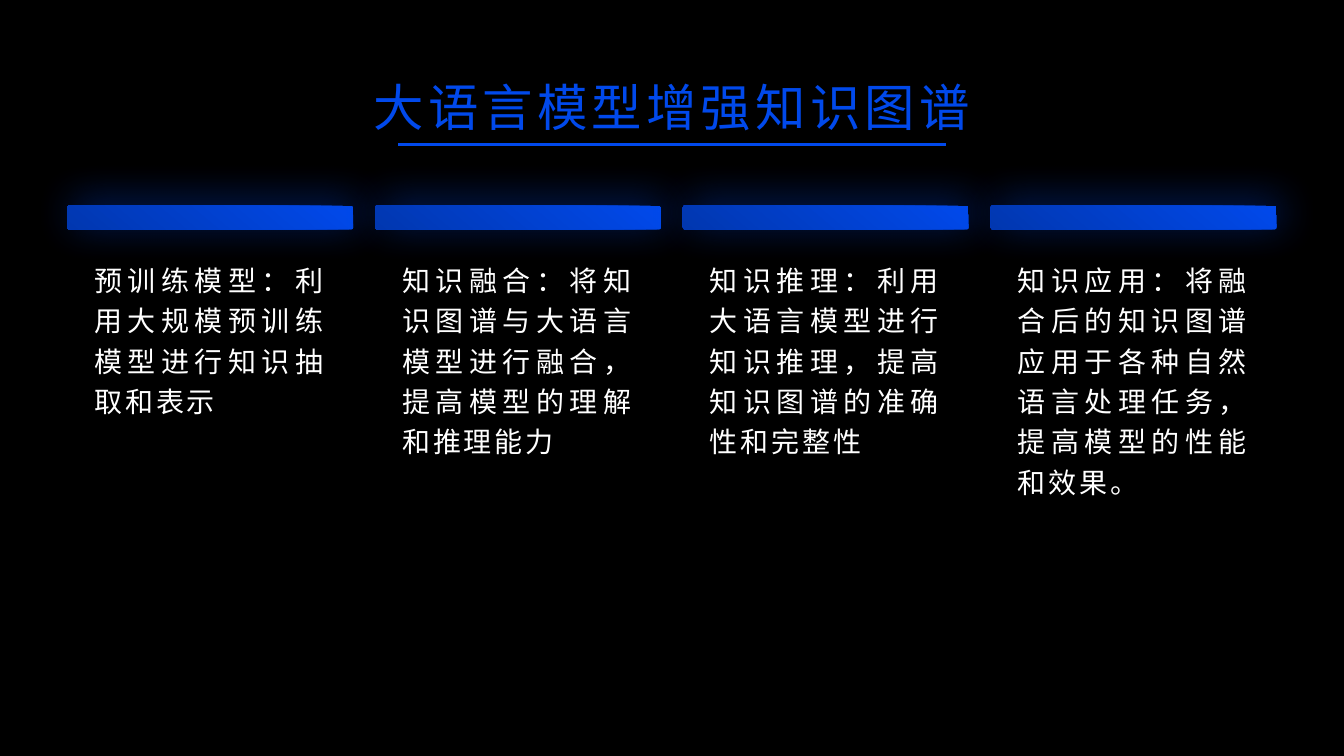
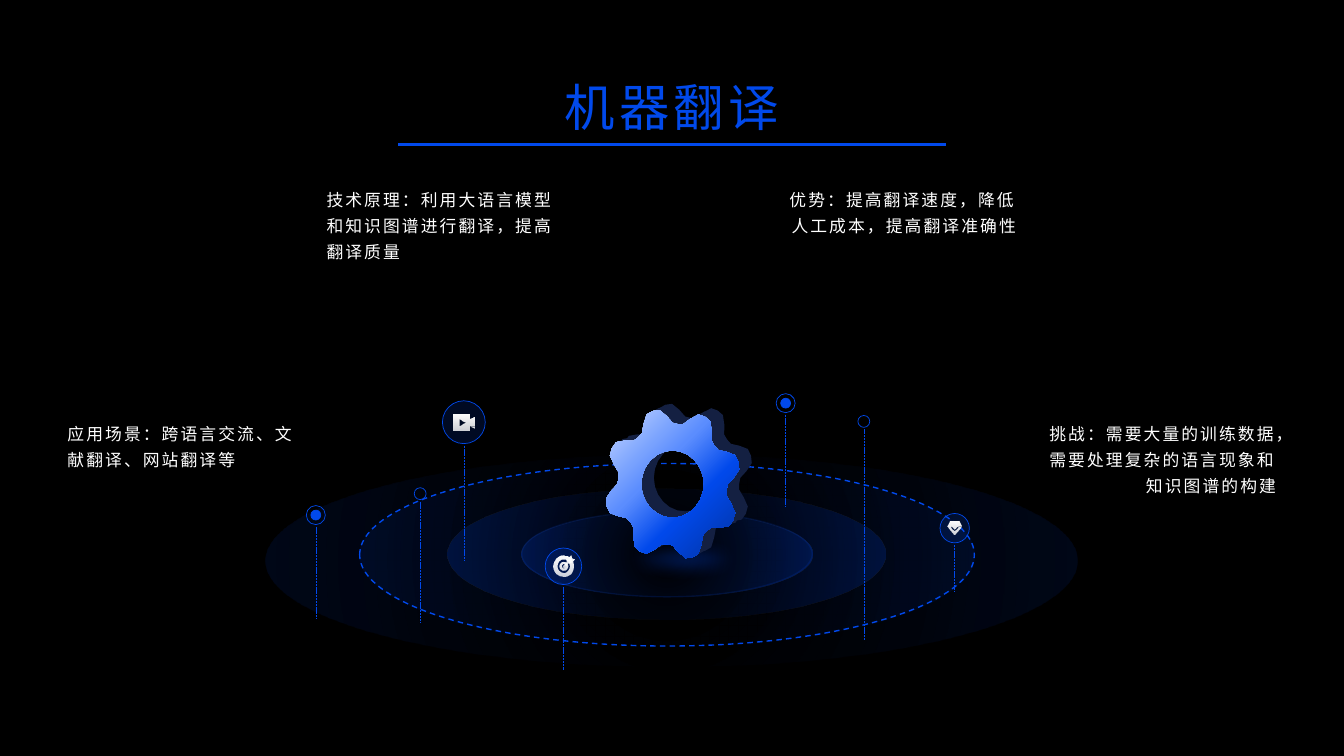
from math import cos, pi, sin, tanh

from lxml.etree import SubElement
from pptx import Presentation
from pptx.dml.color import RGBColor
from pptx.enum.dml import MSO_LINE
from pptx.enum.shapes import MSO_CONNECTOR, MSO_SHAPE
from pptx.enum.text import MSO_ANCHOR, PP_ALIGN
from pptx.oxml import parse_xml
from pptx.oxml.ns import nsdecls, qn
from pptx.util import Cm, Pt

BLACK = RGBColor(0x00, 0x00, 0x00)
WHITE = RGBColor(0xFF, 0xFF, 0xFF)
BLUE = RGBColor(0x01, 0x49, 0xEB)
DEEP_BLUE = RGBColor(0x01, 0x37, 0xB0)
SKY_BLUE = RGBColor(0x5B, 0x8D, 0xFE)
PALE_BLUE = RGBColor(0xC8, 0xD9, 0xFF)
GEAR_SIDE = RGBColor(0x14, 0x20, 0x42)
FONT = "Roboto"

SLIDE_WIDTH, SLIDE_HEIGHT = 33.87, 19.05
MARGIN = 1.7
CONTENT_WIDTH = SLIDE_WIDTH - 2 * MARGIN

COLUMNS = (
    "预训练模型：利用大规模预训练模型进行知识抽取和表示",
    "知识融合：将知识图谱与大语言模型进行融合，提高模型的理解和推理能力",
    "知识推理：利用大语言模型进行知识推理，提高知识图谱的准确性和完整性",
    "知识应用：将融合后的知识图谱应用于各种自然语言处理任务，提高模型的性能和效果。",
)
COLUMN_WIDTH = 7.2

# left, top, alignment, text
NOTES = (
    (1.7, 10.52, PP_ALIGN.LEFT, "应用场景：跨语言交流、文献翻译、网站翻译等"),
    (26.16, 10.52, PP_ALIGN.RIGHT,
     "挑战：需要大量的训练数据，需要处理复杂的语言现象和知识图谱的构建"),
    (19.61, 4.62, PP_ALIGN.RIGHT,
     "优势：提高翻译速度，降低人工成本，提高翻译准确性"),
    (8.23, 4.62, PP_ALIGN.LEFT,
     "技术原理：利用大语言模型和知识图谱进行翻译，提高翻译质量"),
)

# centre x, centre y, width, height, clear centre %, edge opacity %
DISCS = (
    (16.93, 14.12, 20.45, 5.33, 25, 10),
    (16.81, 13.98, 15.49, 4.6, 25, 10),
    (16.8, 13.96, 11.05, 3.28, 0, 20),
    (16.81, 13.96, 7.32, 2.16, 0, 20),
)

# x, head centre y, head diameter, foot y, kind of head
PINS = (
    (7.96, 12.98, 0.48, 15.6, "dot"),
    (10.59, 12.44, 0.3, 15.7, "ring"),
    (11.69, 10.64, 1.08, 14.12, "video"),
    (14.2, 14.27, 0.92, 16.87, "target"),
    (19.8, 10.16, 0.48, 12.78, "dot"),
    (21.77, 10.62, 0.3, 16.13, "ring"),
    (24.06, 13.31, 0.74, 14.91, "diamond"),
)


def ring_points(count, radius_at, x_scale=1.0):
    """Evenly spaced points around the origin; radius_at maps angle to radius."""
    angles = [step * 2 * pi / count for step in range(count)]
    return [(x_scale * radius_at(a) * sin(a), -radius_at(a) * cos(a)) for a in angles]


def circle(radius):
    return ring_points(16, lambda angle: radius)


# Each icon is a list of parts, each part a list of contours around the head centre
ICONS = {
    "video": [[
        [(-0.26, -0.2), (0.13, -0.2), (0.13, -0.09), (0.26, -0.14),
         (0.26, 0.14), (0.13, 0.09), (0.13, 0.2), (-0.26, 0.2)],
        [(-0.12, -0.09), (-0.12, 0.09), (0.03, 0)],
    ]],
    "target": [
        [circle(0.26), circle(0.16), circle(0.11), circle(0.05)],
        [[(-0.02, 0), (0.08, -0.12), (0.08, -0.17), (0.18, -0.27), (0.2, -0.2),
          (0.27, -0.18), (0.17, -0.08), (0.12, -0.08), (0.02, 0.03)]],
    ],
    "diamond": [[
        [(-0.11, -0.17), (0.11, -0.17), (0.18, -0.04), (0, 0.17), (-0.18, -0.04)],
        [(-0.09, -0.05), (-0.09, -0.01), (0, 0.07), (0.09, -0.01),
         (0.09, -0.05), (0, 0.03)],
    ]],
}


def set_opacity(element, percent):
    for color in element.iter(qn("a:srgbClr")):
        SubElement(color, qn("a:alpha")).set("val", str(percent * 1000))


def fill_gradient(shape, stops, angle=None):
    """Stops are (position %, colour, opacity %); no angle means radial."""
    stop_xml = "".join(
        f'<a:gs pos="{position * 1000}"><a:srgbClr val="{color}">'
        f'<a:alpha val="{opacity * 1000}"/></a:srgbClr></a:gs>'
        for position, color, opacity in stops)
    if angle is None:
        course = ('<a:path path="circle"><a:fillToRect l="50000" t="50000" '
                  'r="50000" b="50000"/></a:path>')
    else:
        course = f'<a:lin ang="{angle * 60000}" scaled="0"/>'
    gradient = parse_xml(f'<a:gradFill {nsdecls("a")} rotWithShape="1">'
                         f"<a:gsLst>{stop_xml}</a:gsLst>{course}</a:gradFill>")
    shape.fill.background()
    properties = shape.element.spPr
    properties.replace(properties.find(qn("a:noFill")), gradient)


def add_effect(shape, tag, **settings):
    effects = shape.element.spPr.find(qn("a:effectLst"))
    effect = SubElement(effects, qn(tag))
    for key, value in settings.items():
        effect.set(key, str(value))
    return effect


def add_glow(shape, blur, distance, direction, opacity):
    glow = add_effect(shape, "a:outerShdw", blurRad=int(Pt(blur)),
                      dist=int(Pt(distance)), dir=direction * 60000,
                      algn="ctr", rotWithShape=0)
    SubElement(glow, qn("a:srgbClr")).set("val", str(BLUE))
    set_opacity(glow, opacity)


def format_text(frame, text, size, color, spacing, align, line_spacing=None):
    frame.word_wrap = True
    paragraph = frame.paragraphs[0]
    paragraph.text = text
    paragraph.alignment = align
    if line_spacing:
        paragraph.line_spacing = line_spacing
    for run in paragraph.runs:
        run.font.size = Pt(size)
        run.font.name = FONT
        run.font.color.rgb = color
        run._r.get_or_add_rPr().set("spc", str(int(spacing * 100)))


def add_line(slide, start, end, width, dash=None):
    line = slide.shapes.add_connector(
        MSO_CONNECTOR.STRAIGHT, *(Cm(value) for value in (*start, *end)))
    line.line.color.rgb = BLUE
    line.line.width = Pt(width)
    if dash:
        line.line.dash_style = dash
    SubElement(line.element.spPr, qn("a:effectLst"))


def add_ellipse(slide, x, y, width, height, line_width=None):
    """Unfilled ellipse centred on x, y."""
    ellipse = slide.shapes.add_shape(
        MSO_SHAPE.OVAL, Cm(x - width / 2), Cm(y - height / 2), Cm(width), Cm(height))
    ellipse.shadow.inherit = False
    ellipse.fill.background()
    if line_width:
        ellipse.line.color.rgb = BLUE
        ellipse.line.width = Pt(line_width)
    else:
        ellipse.line.fill.background()
    return ellipse


def add_outline(slide, x, y, contours):
    """Freeform of closed contours around x, y; inner contours become holes."""
    placed = [[(Cm(x + dx), Cm(y + dy)) for dx, dy in contour] for contour in contours]
    builder = slide.shapes.build_freeform(*placed[0][0])
    for index, contour in enumerate(placed):
        if index:
            builder.move_to(*contour[0])
        builder.add_line_segments(contour[1:], close=True)
    outline = builder.convert_to_shape()
    outline.shadow.inherit = False
    outline.line.fill.background()
    return outline


def set_up_template(deck):
    """Black background and title position for all slides; returns the layout."""
    deck.slide_width, deck.slide_height = Cm(SLIDE_WIDTH), Cm(SLIDE_HEIGHT)
    background = deck.slide_master.background.fill
    background.solid()
    background.fore_color.rgb = BLACK
    layout = deck.slide_layouts[5]
    title = layout.placeholders[0]
    title.left, title.top = Cm(MARGIN), Cm(MARGIN)
    title.width, title.height = Cm(CONTENT_WIDTH), Cm(1.95)
    title.text_frame.vertical_anchor = MSO_ANCHOR.MIDDLE
    return layout


def add_titled_slide(deck, layout, title):
    slide = deck.slides.add_slide(layout)
    add_line(slide, (10.03, 3.65), (23.83, 3.65), 2)
    format_text(slide.shapes.title.text_frame, title, 36, BLUE, 3, PP_ALIGN.CENTER)
    return slide


def add_column(slide, left, text):
    band = slide.shapes.add_shape(
        MSO_SHAPE.ROUNDED_RECTANGLE, Cm(left), Cm(5.18), Cm(COLUMN_WIDTH), Cm(0.6))
    band.adjustments[0] = 0.08
    band.shadow.inherit = False
    band.line.fill.background()
    fill_gradient(band, [(0, BLUE, 100), (100, DEEP_BLUE, 100)], 130)
    add_glow(band, 30, 5, 315, 45)
    body = slide.shapes.add_textbox(
        Cm(left + 0.43), Cm(6.35), Cm(COLUMN_WIDTH - 0.86), Cm(9.46))
    format_text(body.text_frame, text, 20, WHITE, 2, PP_ALIGN.JUSTIFY, 1.2)


def add_note(slide, left, top, align, text):
    frame = slide.shapes.add_textbox(Cm(left), Cm(top), Cm(6), Cm(2.24)).text_frame
    frame.margin_left = frame.margin_right = frame.margin_top = frame.margin_bottom = 0
    format_text(frame, text, 12, WHITE, 1.5, align, 1.3)


def add_platform(slide):
    outer, dashed, middle, inner = (
        add_ellipse(slide, x, y, width, height) for x, y, width, height, _, _ in DISCS)
    for disc, (*_, clear, opacity) in zip((outer, dashed, middle, inner), DISCS):
        fill_gradient(disc, [(clear, BLUE, 0), (100, BLUE, opacity)])
    for disc in (dashed, inner):
        disc.line.color.rgb = BLUE
        disc.line.width = Pt(1)
    dashed.line.dash_style = MSO_LINE.DASH
    set_opacity(inner.element.spPr.find(qn("a:ln")), 15)

    light = add_ellipse(slide, 17.2, 14.08, 4.22, 1.24)
    light.fill.solid()
    light.fill.fore_color.rgb = BLUE
    set_opacity(light.element.spPr, 40)
    add_effect(light, "a:softEdge", rad=int(Pt(12)))


def add_pin(slide, x, y, diameter, foot, kind):
    add_line(slide, (x, y + diameter / 2 + 0.05), (x, foot), 0.5, MSO_LINE.SQUARE_DOT)
    head = add_ellipse(slide, x, y, diameter, diameter, 0.5)
    if kind == "dot":
        dot = add_ellipse(slide, x, y, 0.25, 0.25, 0.5)
        dot.fill.solid()
        dot.fill.fore_color.rgb = BLUE
    elif kind in ICONS:
        fill_gradient(head, [(0, BLUE, 15), (100, BLUE, 15)], 0)
        for part in ICONS[kind]:
            icon = add_outline(slide, x, y, part)
            fill_gradient(icon, [(0, WHITE, 100), (100, WHITE, 80)], 90)


def add_gear(slide, x, y):
    """Eight-toothed gear whose dark side is stacked up behind its face."""
    teeth = ring_points(
        64, lambda a: 1.72 - 0.22 * tanh(1.6 * cos(8 * (a - 0.1))), 0.9)
    hole = ring_points(24, lambda a: 0.85, 0.93)
    for depth in (2, 1):
        side = add_outline(slide, x + 0.16 * depth, y - 0.08 * depth, [teeth, hole])
        side.fill.solid()
        side.fill.fore_color.rgb = GEAR_SIDE
    face = add_outline(slide, x, y, [teeth, hole])
    fill_gradient(face, [(0, PALE_BLUE, 100), (40, SKY_BLUE, 100),
                         (64, BLUE, 100), (92, DEEP_BLUE, 100)], 45)


def main():
    deck = Presentation()
    layout = set_up_template(deck)

    graph_slide = add_titled_slide(deck, layout, "大语言模型增强知识图谱")
    pitch = (CONTENT_WIDTH - COLUMN_WIDTH) / (len(COLUMNS) - 1)
    for index, text in enumerate(COLUMNS):
        add_column(graph_slide, MARGIN + index * pitch, text)

    translation_slide = add_titled_slide(deck, layout, "机器翻译")
    add_platform(translation_slide)
    for pin in PINS:
        add_pin(translation_slide, *pin)
    add_gear(translation_slide, 16.95, 12.2)
    for note in NOTES:
        add_note(translation_slide, *note)

    deck.save("out.pptx")


if __name__ == "__main__":
    main()
